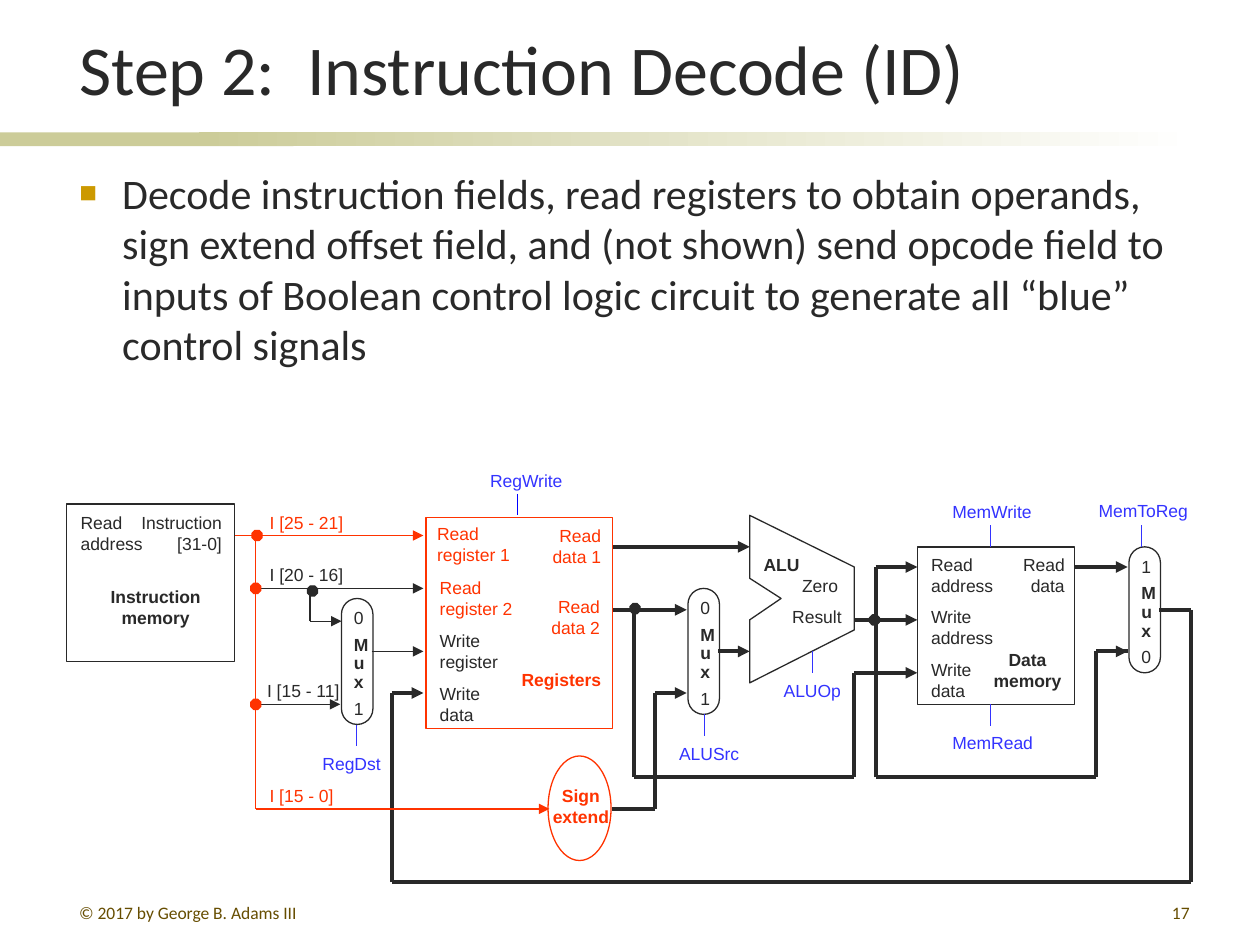
"""Build the instruction decode slide with its datapath diagram."""
from dataclasses import dataclass
from itertools import pairwise

from lxml import etree
from pptx import Presentation
from pptx.dml.color import RGBColor
from pptx.enum import shapes, text
from pptx.oxml import ns
from pptx.util import Inches, Pt

INK = RGBColor(0x29, 0x29, 0x29)
RED = RGBColor(0xFF, 0x33, 0x00)
BLUE = RGBColor(0x33, 0x33, 0xFF)
PURE_BLUE = RGBColor(0x00, 0x00, 0xFF)
SAND = RGBColor(0xCC, 0xCC, 0x99)
WHITE = RGBColor(0xFF, 0xFF, 0xFF)
BROWN = RGBColor(0x66, 0x4D, 0x00)
L, C, R = text.PP_ALIGN.LEFT, text.PP_ALIGN.CENTER, text.PP_ALIGN.RIGHT
KIND = shapes.MSO_SHAPE
THIN, THICK = 0.75, 2.25


@dataclass
class Wire:
    points: list[tuple[float, float]]
    color: RGBColor = INK
    width: float = THICK
    arrow: bool = True


@dataclass
class Label:
    text: str
    x: float
    y: float
    w: float
    color: RGBColor = INK
    align: text.PP_ALIGN = L
    bold: bool = False


@dataclass
class Outline:
    kind: KIND
    x: float
    y: float
    w: float
    h: float
    color: RGBColor = INK


@dataclass
class Mux:
    x: float
    y: float
    first: str
    last: str


@dataclass
class Signal:
    label: Label
    x: float
    y: float
    color: RGBColor = BLUE


WIRES = [
    Wire([(8.53, 4.5), (8.95, 4.5)]),
    Wire([(6.78, 4.92), (7.28, 4.92)]),
    Wire([(8.95, 5.17), (8.7, 5.17), (8.7, 6.17), (6.95, 6.17), (6.95, 4.5), (7.28, 4.5)]),
    Wire([(8.7, 5.17), (8.95, 5.17)]),
    Wire([(9.2, 4.84), (9.45, 4.84), (9.45, 7), (3.11, 7), (3.11, 5.5), (3.36, 5.5)]),
    Wire([(4.86, 4.84), (5.45, 4.84)]),
    Wire([(5.03, 4.84), (5.03, 6.17), (6.78, 6.17), (6.78, 5.34), (7.28, 5.34)]),
    Wire([(4.86, 4.34), (5.95, 4.34)]),
    Wire([(4.86, 6.42), (5.2, 6.42), (5.2, 5.5), (5.45, 5.5)]),
    Wire([(5.7, 5.17), (5.95, 5.17)]),
    Wire([(2.95, 5.17), (3.36, 5.17)], width=THIN),
    Wire([(2.03, 4.25), (2.03, 6.42), (4.36, 6.42)], RED, THIN),
    Wire([(1.86, 4.25), (3.36, 4.25)], RED, THIN),
    Wire([(2.03, 4.67), (3.36, 4.67)], width=THIN),
    Wire([(2.03, 5.59), (2.7, 5.59)], width=THIN),
    Wire([(2.46, 4.68), (2.46, 4.93), (2.71, 4.93)], width=THIN),
]
DOTS = [(6.9, 4.88, INK), (5, 4.79, INK), (2.44, 4.65, INK),
        (2, 4.21, RED), (1.99, 4.63, RED), (1.99, 5.55, RED)]
OUTLINES = [
    Outline(KIND.RECTANGLE, 0.53, 4, 1.33, 1.25),
    Outline(KIND.RECTANGLE, 3.38, 4.11, 1.48, 1.67, RED),
    Outline(KIND.RECTANGLE, 7.28, 4.34, 1.25, 1.25),
    Outline(KIND.OVAL, 4.35, 6, 0.5, 0.83, RED),
]
MUXES = [Mux(2.71, 4.75, "0", "1"), Mux(5.46, 4.67, "0", "1"), Mux(8.96, 4.34, "1", "0")]
ALU = [(5.95, 4.09), (6.78, 4.5), (6.78, 5), (5.95, 5.42), (5.95, 4.92), (6.2, 4.75), (5.95, 4.59)]
LABELS = [
    Label("Read\naddress", 0.53, 4, 0.72),
    Label("Instruction\n[31-0]", 0.99, 4, 0.88, align=R),
    Label("Instruction\nmemory", 0.76, 4.59, 0.95, align=C, bold=True),
    Label("I [25 - 21]", 2.03, 4, 0.82, RED),
    Label("I [20 - 16]", 2.03, 4.42, 0.82),
    Label("I [15 - 11]", 2.01, 5.34, 0.81),
    Label("I [15 - 0]", 2.03, 6.17, 0.74, RED),
    Label("Read\nregister 1", 3.36, 4.09, 0.81, RED),
    Label("Read\nregister 2", 3.38, 4.52, 0.81, RED),
    Label("Write\nregister", 3.38, 4.94, 0.69),
    Label("Write\ndata", 3.38, 5.36, 0.55),
    Label("Read\ndata 1", 4.26, 4.11, 0.62, RED, R),
    Label("Read\ndata 2", 4.25, 4.67, 0.62, RED, R),
    Label("Registers", 4.03, 5.25, 0.86, RED, bold=True),
    Label("Sign\nextend", 4.27, 6.17, 0.68, RED, C, True),
    Label("ALU", 5.95, 4.34, 0.51, bold=True),
    Label("Zero", 6.25, 4.5, 0.51, align=R),
    Label("Result", 6.16, 4.75, 0.63, align=R),
    Label("Read\naddress", 7.28, 4.34, 0.72),
    Label("Write\naddress", 7.28, 4.75, 0.72),
    Label("Write\ndata", 7.28, 5.17, 0.55),
    Label("Read\ndata", 7.99, 4.34, 0.57, align=R),
    Label("Data\nmemory", 7.77, 5.09, 0.77, align=C, bold=True),
]
SIGNALS = [
    Signal(Label("RegWrite", 3.78, 3.67, 0.81, BLUE), 4.11, 3.92, PURE_BLUE),
    Signal(Label("RegDst", 2.45, 5.92, 0.7, BLUE), 2.83, 5.75),
    Signal(Label("ALUSrc", 5.28, 5.84, 0.71, BLUE), 5.59, 5.67),
    Signal(Label("ALUOp", 6.11, 5.34, 0.68, BLUE), 6.45, 5.17),
    Signal(Label("MemWrite", 7.45, 3.92, 0.86, BLUE), 7.86, 4.17),
    Signal(Label("MemRead", 7.45, 5.75, 0.87, BLUE), 7.86, 5.59),
    Signal(Label("MemToReg", 8.61, 3.91, 0.94, BLUE), 9.06, 4.17),
]


def write(tf, content: str, *, size=10, font="Arial", color=INK, bold=False, align=L) -> None:
    for i, line in enumerate(content.split("\n")):
        p = tf.paragraphs[0] if i == 0 else tf.add_paragraph()
        p.alignment = align
        r = p.add_run()
        r.text = line
        r.font.size, r.font.name, r.font.bold = Pt(size), font, bold
        r.font.color.rgb = color


def place(sp, x: float, y: float, w: float, h: float) -> None:
    sp.left, sp.top, sp.width, sp.height = map(Inches, (x, y, w, h))


def add_outline(s, o: Outline):
    sp = s.shapes.add_shape(o.kind, *map(Inches, (o.x, o.y, o.w, o.h)))
    style(sp, o.color)
    return sp


def style(sp, color: RGBColor) -> None:
    sp.shadow.inherit = False
    sp.fill.background()
    sp.line.color.rgb, sp.line.width = color, Pt(THIN)


def add_wire(s, wire: Wire) -> None:
    legs = list(pairwise(wire.points))
    for i, (start, end) in enumerate(legs):
        c = s.shapes.add_connector(shapes.MSO_CONNECTOR.STRAIGHT, *map(Inches, start + end))
        c.line.color.rgb, c.line.width = wire.color, Pt(wire.width)
        if wire.arrow and i == len(legs) - 1:
            etree.SubElement(c.line._get_or_add_ln(), ns.qn("a:tailEnd"), type="triangle")
        etree.SubElement(c._element.spPr, ns.qn("a:effectLst"))


def add_label(s, a: Label, h: float = 0):
    h = h or (0.45 if "\n" in a.text else 0.28)
    tf = s.shapes.add_textbox(*map(Inches, (a.x, a.y, a.w, h))).text_frame
    tf.margin_left = tf.margin_right = Inches(0.11)
    tf.margin_top = tf.margin_bottom = Inches(0.06)
    tf.word_wrap, tf.auto_size = False, text.MSO_AUTO_SIZE.SHAPE_TO_FIT_TEXT
    write(tf, a.text, color=a.color, bold=a.bold, align=a.align)
    return tf


def add_mux(s, m: Mux) -> None:
    add_outline(s, Outline(KIND.ROUNDED_RECTANGLE, m.x, m.y, 0.25, 1)).adjustments[0] = 0.5
    content = "\n".join([m.first, *"Mux", m.last])
    ps = add_label(s, Label(content, m.x - 0.01, m.y + 0.01, 0.36), 1.02).paragraphs
    for p in ps[1:4]:
        p.runs[0].font.bold = True
    ps[1].space_before = ps[4].space_before = Pt(3)
    ps[2].line_spacing = ps[3].line_spacing = 0.9


def add_bands(s) -> None:
    for x, w in ((0, 2.33), (1.58, 7.92)):
        sp = add_outline(s, Outline(KIND.RECTANGLE, x, 1.05, w, 0.11))
        sp.line.fill.background()
        if x:
            sp.fill.gradient()
            sp.fill.gradient_angle = 0
            for stop, color, position in zip(sp.fill.gradient_stops, (SAND, WHITE), (0, 1)):
                stop.color.rgb, stop.position = color, position
        else:
            sp.fill.solid()
            sp.fill.fore_color.rgb = SAND


def add_bullet(p) -> None:
    pPr = p._p.get_or_add_pPr()
    pPr.set("marL", str(Inches(0.34)))
    pPr.set("indent", str(-Inches(0.34)))
    etree.SubElement(etree.SubElement(pPr, ns.qn("a:buClr")), ns.qn("a:srgbClr"), val="CC9900")
    for tag, key, value in (("buSzPct", "val", "70000"), ("buFont", "typeface", "Arial"), ("buChar", "char", "■")):
        etree.SubElement(pPr, ns.qn(f"a:{tag}"), {key: value})


def add_words(s) -> None:
    title, body = s.placeholders
    place(title, 0.53, 0.11, 9.01, 0.81)
    place(body, 0.53, 1.28, 9.02, 5.39)
    for sp, anchor in ((title, text.MSO_ANCHOR.BOTTOM), (body, text.MSO_ANCHOR.TOP)):
        sp.text_frame.auto_size = text.MSO_AUTO_SIZE.NONE
        sp.text_frame.vertical_anchor = anchor
    write(title.text_frame, "Step 2:  Instruction Decode (ID)", size=40, font="Calibri")
    add_bullet(body.text_frame.paragraphs[0])
    body.text_frame.paragraphs[0].space_before = Pt(0)
    write(body.text_frame, "Decode instruction fields, read registers to obtain operands, sign extend "
          "offset field, and (not shown) send opcode field to inputs of Boolean control logic circuit "
          "to generate all “blue” control signals", size=24, font="Calibri")
    for content, x, w, align in (("© 2017 by George B. Adams III", 0.53, 2.17, L), ("17", 7.46, 2.08, R)):
        tf = s.shapes.add_textbox(*map(Inches, (x, 7.11, w, 0.21))).text_frame
        tf.word_wrap = True
        write(tf, content, font="Calibri", color=BROWN, align=align)


def main() -> None:
    prs = Presentation()
    prs.slide_width, prs.slide_height = Inches(10), Inches(7.5)
    s = prs.slides.add_slide(prs.slide_layouts[1])
    add_bands(s)
    add_words(s)
    for wire in WIRES:
        add_wire(s, wire)
    for x, y, color in DOTS:
        sp = add_outline(s, Outline(KIND.OCTAGON, x, y, 0.08, 0.08, color))
        sp.fill.solid()
        sp.fill.fore_color.rgb = color
    for o in OUTLINES:
        add_outline(s, o)
    corners = [(Inches(x), Inches(y)) for x, y in ALU]
    fb = s.shapes.build_freeform(*corners[0])
    fb.add_line_segments(corners[1:], close=True)
    style(fb.convert_to_shape(), INK)
    for m in MUXES:
        add_mux(s, m)
    for a in LABELS:
        add_label(s, a)
    for sig in SIGNALS:
        add_wire(s, Wire([(sig.x, sig.y), (sig.x, sig.y + 0.17)], sig.color, THIN, False))
        add_label(s, sig.label)
    prs.save("out.pptx")


if __name__ == "__main__":
    main()
